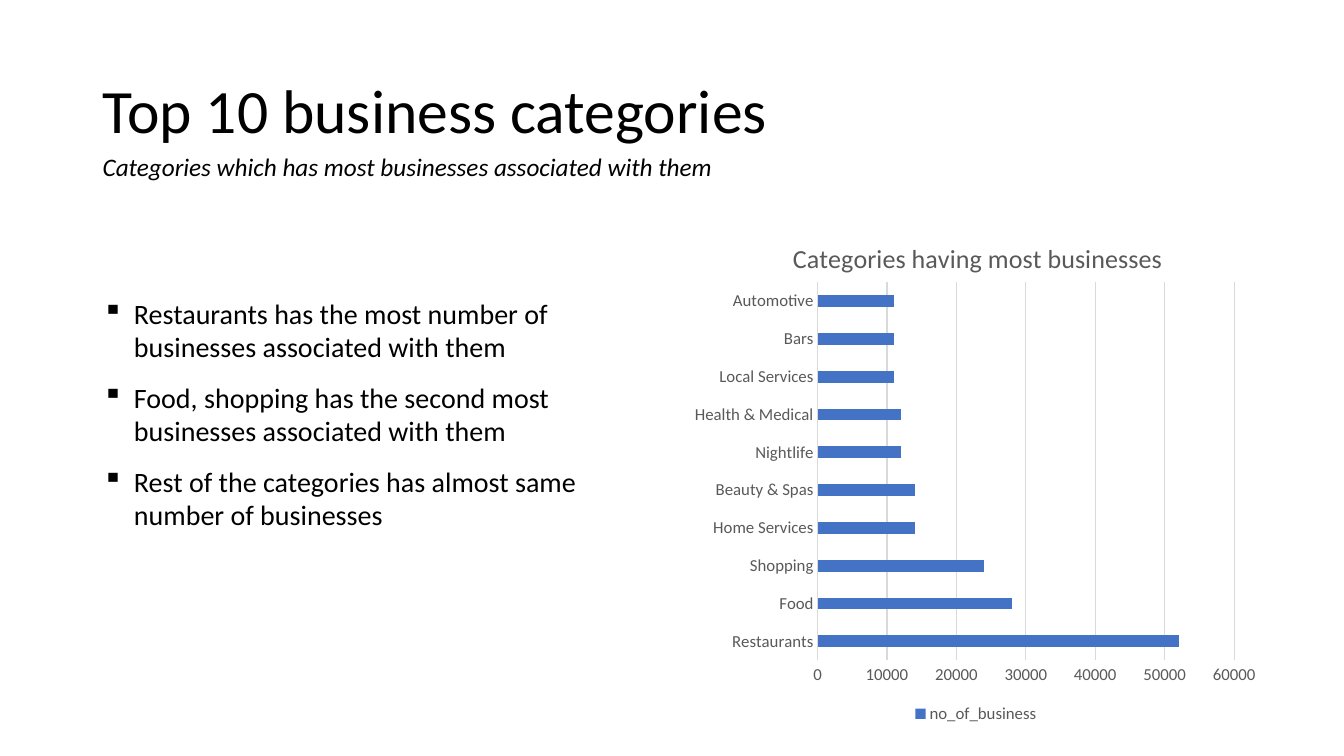
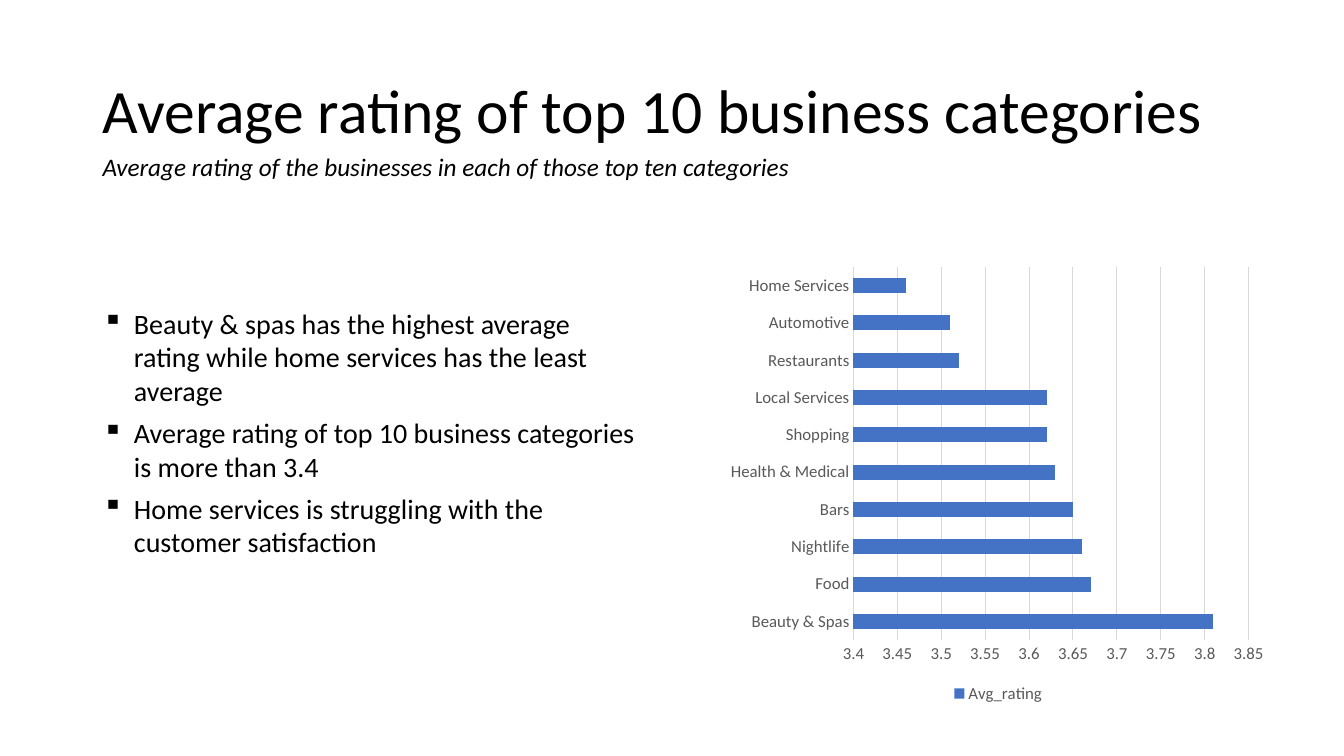
from lxml import etree
from pptx import Presentation
from pptx.chart.data import CategoryChartData
from pptx.dml.color import RGBColor
from pptx.enum import chart as charts, text
from pptx.oxml import ns
from pptx.util import Inches, Pt

FONT = "Calibri"
COLORS = {"text": "000000", "label": "595959", "grid": "D9D9D9", "bar": "4472C4"}
LEFT = 0.92
HANGING = Inches(0.31)

PAGES = [
    {
        "title": "Top 10 business categories",
        "subtitle": "Categories which has most businesses associated with them",
        "bullets": [
            "Restaurants has the most number of businesses associated with them",
            "Food, shopping has the second most businesses associated with them",
            "Rest of the categories has almost same number of businesses",
        ],
        "bullet_area": (LEFT, 2.89, 5.52, 3.77),
        "space": 12,
        "chart": {
            "area": (6.77, 2.08, 5.82, 5.14),
            "plot": (0.23, 0.14, 0.71, 0.73),
            "title": "Categories having most businesses",
            "series": "no_of_business",
            "values": {
                "Restaurants": 52000, "Food": 28000, "Shopping": 24000,
                "Home Services": 14000, "Beauty & Spas": 14000,
                "Nightlife": 12000, "Health & Medical": 12000,
                "Local Services": 11000, "Bars": 11000, "Automotive": 11000,
            },
            "scale": (0, 60000, 10000),
            "gap": 219,
        },
    },
    {
        "title": "Average rating of top 10 business categories",
        "subtitle": "Average rating of the businesses in each of those top ten categories",
        "bullets": [
            "Beauty & spas has the highest average rating while home services "
            "has the least average",
            "Average rating of top 10 business categories is more than 3.4",
            "Home services is struggling with the customer satisfaction",
        ],
        "bullet_area": (LEFT, 2.99, 5.52, 3.6),
        "space": 6,
        "chart": {
            "area": (7.14, 2.56, 5.52, 4.46),
            "plot": (0.24, 0.02, 0.71, 0.83),
            "title": None,
            "series": "Avg_rating",
            "values": {
                "Beauty & Spas": 3.81, "Food": 3.67, "Nightlife": 3.66,
                "Bars": 3.65, "Health & Medical": 3.63, "Shopping": 3.62,
                "Local Services": 3.62, "Restaurants": 3.52,
                "Automotive": 3.51, "Home Services": 3.46,
            },
            "scale": (3.4, 3.85, 0.05),
            "gap": 150,
        },
    },
]


def color(name):
    return RGBColor.from_string(COLORS[name])


def style_font(font, size, name="text", italic=False):
    font.name, font.size, font.italic, font.bold = FONT, Pt(size), italic, False
    font.color.rgb = color(name)


def add_text(page, area, lines, size, italic=False, anchor=text.MSO_ANCHOR.TOP):
    """Add a wrapped text box and return its paragraphs."""
    box = page.shapes.add_textbox(*map(Inches, area))
    frame = box.text_frame
    frame.word_wrap = True
    frame.vertical_anchor = anchor
    frame.text = "\n".join(lines)
    for para in frame.paragraphs:
        style_font(para.font, size, italic=italic)
    return frame.paragraphs


def add_heading(page, title, subtitle):
    paras = add_text(page, (LEFT, 0.4, 11.5, 1.45), [title], 44,
                     anchor=text.MSO_ANCHOR.MIDDLE)
    paras[0].line_spacing = 0.9
    add_text(page, (LEFT, 1.45, 8.83, 0.4), [subtitle], 18, italic=True)


def add_bullets(page, area, lines, space):
    for para in add_text(page, area, lines, 20):
        para.space_before = Pt(space)
        properties = para._p.get_or_add_pPr()
        properties.set("marL", str(HANGING))
        properties.set("indent", str(-HANGING))
        bullet = etree.Element(ns.qn("a:buChar"), char="▪")
        properties.insert_element_before(bullet, "a:tabLst", "a:defRPr", "a:extLst")


def set_layout(element, index, **settings):
    """Place a chart part by fractions of the chart area."""
    layout = element.find(ns.qn("c:layout"))
    if layout is None:
        layout = etree.Element(ns.qn("c:layout"))
        element.insert(index, layout)
    manual = etree.SubElement(layout, ns.qn("c:manualLayout"))
    for tag, value in settings.items():
        etree.SubElement(manual, ns.qn("c:" + tag), val=str(value))


def style_axis(axis):
    axis.major_tick_mark = axis.minor_tick_mark = charts.XL_TICK_MARK.NONE
    style_font(axis.tick_labels.font, 12, "label")


def style_line(line):
    line.color.rgb = color("grid")
    line.width = Pt(0.75)


def add_bar_chart(page, details):
    data = CategoryChartData()
    data.categories = details["values"].keys()
    data.add_series(details["series"], details["values"].values())
    frame = page.shapes.add_chart(charts.XL_CHART_TYPE.BAR_CLUSTERED,
                                  *map(Inches, details["area"]), data)
    chart = frame.chart
    style_font(chart.font, 10)

    # Title and legend
    chart.has_title = details["title"] is not None
    if chart.has_title:
        title = chart.chart_title
        title.text_frame.text = details["title"]
        style_font(title.text_frame.paragraphs[0].font, 18.6, "label")
        set_layout(title._element, 1, xMode="edge", yMode="edge", x=0.18, y=0.05)
    chart.has_legend = True
    chart.legend.position = charts.XL_LEGEND_POSITION.BOTTOM
    chart.legend.include_in_layout = False
    style_font(chart.legend.font, 12, "label")

    # Axes
    style_axis(chart.category_axis)
    style_line(chart.category_axis.format.line)
    values = chart.value_axis
    style_axis(values)
    values.format.line.fill.background()
    values.minimum_scale, values.maximum_scale, values.major_unit = details["scale"]
    style_line(values.major_gridlines.format.line)

    # Bars
    plot = chart.plots[0]
    plot.gap_width = details["gap"]
    plot.vary_by_categories = False
    fill = plot.series[0].format.fill
    fill.solid()
    fill.fore_color.rgb = color("bar")
    x, y, w, h = details["plot"]
    set_layout(chart._chartSpace.chart.plotArea, 0, layoutTarget="inner",
               xMode="edge", yMode="edge", x=x, y=y, w=w, h=h)


def main():
    deck = Presentation()
    deck.slide_width, deck.slide_height = Inches(13.33), Inches(7.5)
    for content in PAGES:
        page = deck.slides.add_slide(deck.slide_layouts[6])
        add_heading(page, content["title"], content["subtitle"])
        add_bullets(page, content["bullet_area"], content["bullets"], content["space"])
        add_bar_chart(page, content["chart"])
    deck.save("out.pptx")


if __name__ == "__main__":
    main()
